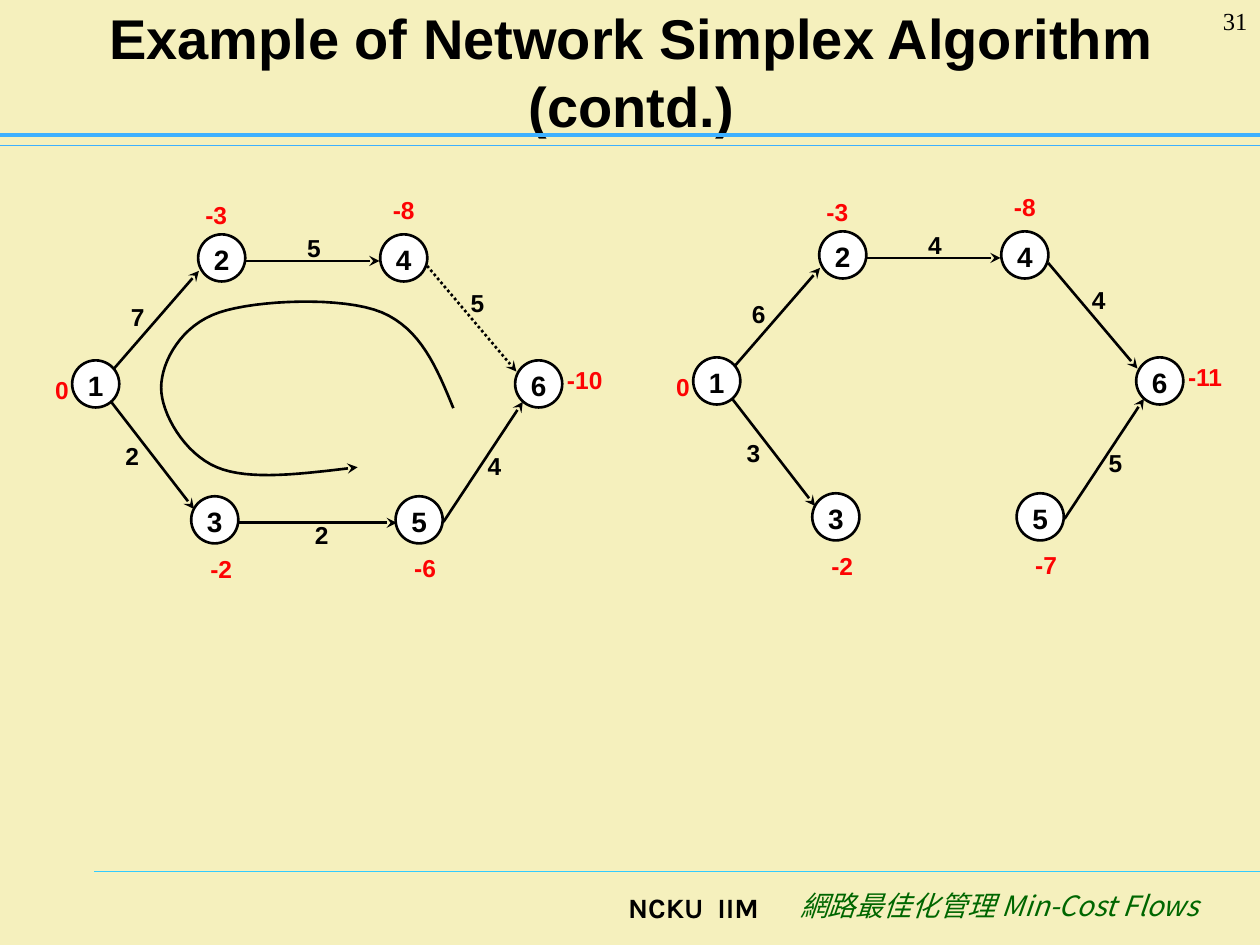
from typing import NamedTuple

from lxml import etree
from pptx import Presentation
from pptx.dml.color import RGBColor
from pptx.enum.dml import MSO_LINE
from pptx.enum.shapes import MSO_CONNECTOR, MSO_SHAPE
from pptx.enum.text import MSO_ANCHOR, MSO_AUTO_SIZE, PP_ALIGN
from pptx.oxml.ns import qn
from pptx.util import Cm, Pt

STRAIGHT, OVAL = MSO_CONNECTOR.STRAIGHT, MSO_SHAPE.OVAL
LEFT, CENTER, RIGHT = PP_ALIGN.LEFT, PP_ALIGN.CENTER, PP_ALIGN.RIGHT
MIDDLE = MSO_ANCHOR.MIDDLE
NO_FIT, GROW = MSO_AUTO_SIZE.NONE, MSO_AUTO_SIZE.SHAPE_TO_FIT_TEXT
DOTTED = MSO_LINE.ROUND_DOT

BLACK, WHITE, RED, GREEN = "000000", "FFFFFF", "FD0303", "006600"
CREAM, SKY, CYAN = "F5F0BD", "3DB0FF", "33CCFF"
DIAMETER = 0.95
LABEL_WIDTHS = {1: 0.79, 2: 0.94, 3: 1.22}


class Node(NamedTuple):
    cx: float
    cy: float
    label_x: float
    label_y: float


class Arc(NamedTuple):
    x1: float
    y1: float
    x2: float
    y2: float
    label_x: float
    label_y: float


class Network(NamedTuple):
    dx: float
    dy: float
    potentials: dict[int, str]
    flows: dict[tuple[int, int], str]
    leaving: tuple[int, int] | None = None


NODES = {
    1: Node(1.93, 7.74, 0.86, 7.44),
    2: Node(4.47, 5.2, 3.89, 3.91),
    3: Node(4.33, 10.48, 3.99, 11.05),
    4: Node(8.14, 5.2, 7.67, 3.81),
    5: Node(8.45, 10.48, 8.1, 11.02),
    6: Node(10.86, 7.74, 11.18, 7.24),
}
ARCS = {
    (1, 2): Arc(2.29, 7.44, 4.01, 5.46, 2.39, 5.97),
    (2, 4): Arc(4.93, 5.26, 7.65, 5.26, 5.94, 4.57),
    (1, 3): Arc(2.24, 8.1, 3.91, 10.26, 2.28, 8.76),
    (3, 5): Arc(4.78, 10.54, 8, 10.54, 6.1, 10.36),
    (5, 6): Arc(8.94, 10.52, 10.54, 8.1, 9.58, 8.97),
    (4, 6): Arc(8.61, 5.36, 10.41, 7.49, 9.24, 5.69),
}
NETWORKS = [
    Network(0, 0, {1: "0", 2: "-3", 3: "-2", 4: "-8", 5: "-6", 6: "-10"},
            {(1, 2): "7", (2, 4): "5", (1, 3): "2", (3, 5): "2",
             (5, 6): "4", (4, 6): "5"}, leaving=(4, 6)),
    Network(12.52, -0.06,
            {1: "0", 2: "-3", 3: "-2", 4: "-8", 5: "-7", 6: "-11"},
            {(1, 2): "6", (2, 4): "4", (1, 3): "3", (5, 6): "5", (4, 6): "4"}),
]
# Bezier control points: a start, then three points for each segment
CYCLE = [
    (9.14, 8.23), (8.81, 7.42), (8.48, 6.63), (7.7, 6.3),
    (6.91, 5.97), (5.16, 6.05), (4.42, 6.3),
    (3.66, 6.55), (3.25, 7.29), (3.25, 7.82),
    (3.25, 8.33), (3.71, 9.14), (4.37, 9.42),
    (5.03, 9.7), (6.12, 9.55), (7.21, 9.42),
]


def rgb(color: str) -> RGBColor:
    return RGBColor.from_string(color)


def format_text(tf, size: float, color: str = BLACK, font: str = "Arial",
                bold: bool = True, italic: bool = False, align=LEFT) -> None:
    for p in tf.paragraphs:
        p.alignment = align
        for r in p.runs:
            r.font.size, r.font.name = Pt(size), font
            r.font.bold, r.font.italic = bold, italic
            r.font.color.rgb = rgb(color)
            ea = etree.SubElement(r.font._element, qn("a:ea"))
            ea.set("typeface", font)


def add_text(s, text: str, x: float, y: float, w: float, h: float,
             size: float, wrap: bool = True, **style) -> None:
    tf = s.shapes.add_textbox(Cm(x), Cm(y), Cm(w), Cm(h)).text_frame
    tf.text = text
    tf.word_wrap = wrap
    tf.auto_size = NO_FIT if wrap else GROW
    format_text(tf, size, **style)


def add_label(s, text: str, x: float, y: float, color: str) -> None:
    add_text(s, text, x, y, LABEL_WIDTHS[len(text)], 0.86, 14,
             wrap=False, color=color)


def add_arrowhead(line) -> None:
    etree.SubElement(line._get_or_add_ln(), qn("a:tailEnd"), type="stealth")


def add_line(s, x1: float, y1: float, x2: float, y2: float,
             color: str = BLACK, width: float = 1.5):
    sp = s.shapes.add_connector(STRAIGHT, Cm(x1), Cm(y1), Cm(x2), Cm(y2))
    sp.line.color.rgb = rgb(color)
    sp.line.width = Pt(width)
    etree.SubElement(sp._element.spPr, qn("a:effectLst"))
    return sp


def add_node(s, number: int, cx: float, cy: float) -> None:
    sp = s.shapes.add_shape(OVAL, Cm(cx - DIAMETER / 2), Cm(cy - DIAMETER / 2),
                            Cm(DIAMETER), Cm(DIAMETER))
    sp.shadow.inherit = False
    sp.fill.solid()
    sp.fill.fore_color.rgb = rgb(WHITE)
    sp.line.color.rgb = rgb(BLACK)
    sp.line.width = Pt(1.5)
    tf = sp.text_frame
    tf.text = str(number)
    tf.word_wrap = False
    tf.vertical_anchor = MIDDLE
    tf.margin_left = tf.margin_right = tf.margin_bottom = 0
    tf.margin_top = Cm(0.06)
    format_text(tf, 16, align=CENTER)


def add_network(s, net: Network) -> None:
    for number, node in NODES.items():
        add_node(s, number, node.cx + net.dx, node.cy + net.dy)
        add_label(s, net.potentials[number], node.label_x + net.dx,
                  node.label_y + net.dy, RED)
    for ends, flow in net.flows.items():
        arc = ARCS[ends]
        sp = add_line(s, arc.x1 + net.dx, arc.y1 + net.dy,
                      arc.x2 + net.dx, arc.y2 + net.dy)
        if ends == net.leaving:
            sp.line.dash_style = DOTTED
        add_arrowhead(sp.line)
        add_label(s, flow, arc.label_x + net.dx, arc.label_y + net.dy, BLACK)


def bezier_points(controls: list, steps: int = 16) -> list:
    points = []
    for i in range(0, len(controls) - 1, 3):
        for k in range(1, steps + 1):
            t = k / steps
            weights = ((1 - t) ** 3, 3 * t * (1 - t) ** 2,
                       3 * t ** 2 * (1 - t), t ** 3)
            points.append(tuple(
                Cm(sum(w * c[axis] for w, c in zip(weights, controls[i:i + 4])))
                for axis in (0, 1)))
    return points


def add_cycle(s) -> None:
    x, y = CYCLE[0]
    builder = s.shapes.build_freeform(Cm(x), Cm(y))
    builder.add_line_segments(bezier_points(CYCLE), close=False)
    sp = builder.convert_to_shape()
    sp.shadow.inherit = False
    sp.fill.background()
    sp.line.color.rgb = rgb(BLACK)
    sp.line.width = Pt(1.5)
    add_arrowhead(sp.line)


def main() -> None:
    prs = Presentation()
    prs.slide_width, prs.slide_height = Cm(25.4), Cm(19.05)
    s = prs.slides.add_slide(prs.slide_layouts[5])
    s.background.fill.solid()
    s.background.fill.fore_color.rgb = rgb(CREAM)

    add_line(s, 1.9, 17.57, 25.4, 17.57, CYAN, 0.75)
    add_line(s, 0, 2.94, 25.4, 2.94, SKY, 0.75)
    add_line(s, 0, 2.72, 25.4, 2.72, SKY, 2.5)

    title = s.shapes.title
    title.left, title.top = Cm(1.3), Cm(0.33)
    title.width, title.height = Cm(22.86), Cm(2.21)
    tf = title.text_frame
    tf.text = "Example of Network Simplex Algorithm (contd.)"
    tf.word_wrap, tf.auto_size, tf.vertical_anchor = True, NO_FIT, MIDDLE
    format_text(tf, 32, align=CENTER)

    for net in NETWORKS:
        add_network(s, net)
    add_cycle(s)

    add_text(s, "NCKU  IIM", 4.65, 17.82, 10.9, 1.2, 16, font="Karla",
             align=RIGHT)
    add_text(s, "網路最佳化管理 Min-Cost Flows", 15.5, 17.78, 8.91, 1.27, 16,
             color=GREEN, font="Noto Sans CJK SC", bold=False, italic=True,
             align=RIGHT)
    add_text(s, "31", 23.29, 0, 2.11, 1.27, 14, font="Times New Roman",
             bold=False, align=RIGHT)
    prs.save("out.pptx")


if __name__ == "__main__":
    main()
